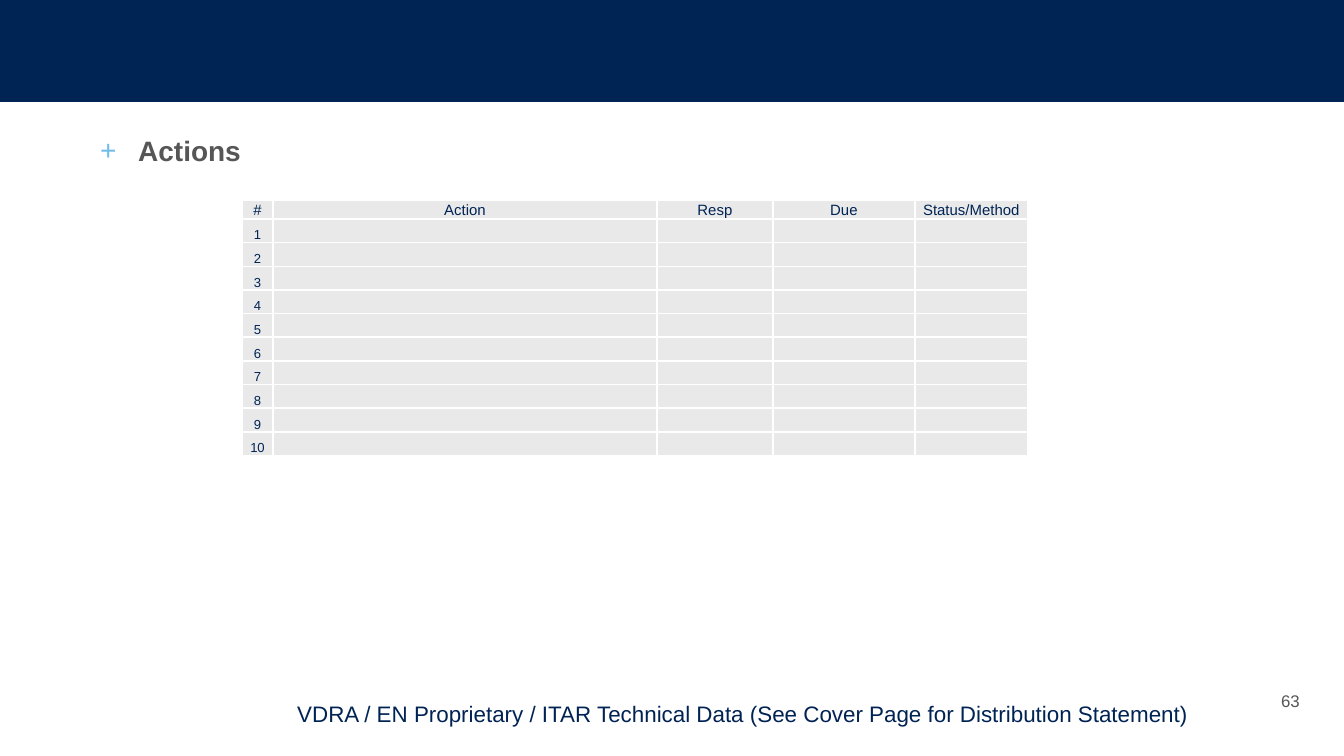
from lxml.etree import SubElement
from pptx import Presentation
from pptx.dml.color import RGBColor
from pptx.enum.shapes import MSO_SHAPE
from pptx.enum.text import MSO_ANCHOR, PP_ALIGN
from pptx.oxml.ns import qn
from pptx.util import Pt

EMU_PER_PX = 914400 / 134.4
NAVY, GREY, CELL_GREY = "002354", "565656", "E9E9E9"


def px(*lengths):
    return [round(length * EMU_PER_PX) for length in lengths]


def style(paragraph, size, color, bold=False):
    font = paragraph.font
    font.name, font.size, font.bold = "Arial", Pt(size), bold
    font.color.rgb = RGBColor.from_string(color)


prs = Presentation()
prs.slide_width, prs.slide_height = px(1344, 756)
slide = prs.slides.add_slide(prs.slide_layouts[6])
shapes = slide.shapes

# Header band
band = shapes.add_shape(MSO_SHAPE.RECTANGLE, *px(0, 0, 1344, 102))
band.shadow.inherit = False
band.fill.solid()
band.fill.fore_color.rgb = RGBColor.from_string("002454")
band.line.fill.background()

# Page number
page_number = shapes.add_textbox(*px(1265, 681, 51, 40)).text_frame
page_number.word_wrap = True
page_number.vertical_anchor = MSO_ANCHOR.MIDDLE
page_number.text = "63"
page_number.paragraphs[0].alignment = PP_ALIGN.CENTER
style(page_number.paragraphs[0], 9, GREY)

# Heading with a plus bullet
heading = shapes.add_textbox(*px(87, 124, 891, 608)).text_frame
heading.word_wrap = True
heading.text = "Actions"
actions = heading.paragraphs[0]
actions.line_spacing = 1.1
indent = px(38)[0]
properties = actions._p.get_or_add_pPr()
properties.set("marL", str(indent))
properties.set("indent", str(-indent))
bullet_color = SubElement(properties, qn("a:buClr"))
SubElement(bullet_color, qn("a:srgbClr"), val="70BCE8")
SubElement(properties, qn("a:buFont"), typeface="Arial")
SubElement(properties, qn("a:buChar"), char="+")
style(actions, 15, GREY, bold=True)

# Action table: a header row and ten numbered rows
headers = ["#", "Action", "Resp", "Due", "Status/Method"]
rows = [headers] + [[str(number), "", "", "", ""] for number in range(1, 11)]
column_widths = px(31, 384, 116, 142, 113)
header_height, body_height = px(19, 237)
table = shapes.add_table(len(rows), len(headers), *px(242, 200, 786, 256)).table
for column, width in zip(table.columns, column_widths):
    column.width = width
for r, row in enumerate(rows):
    table.rows[r].height = body_height // 10 if r else header_height
    size = 7 if r else 8
    for c, text in enumerate(row):
        cell = table.cell(r, c)
        cell.text = text
        cell.vertical_anchor = MSO_ANCHOR.BOTTOM
        cell.margin_left = cell.margin_right = cell.margin_top = px(1)[0]
        cell.margin_bottom = 0
        paragraph = cell.text_frame.paragraphs[0]
        paragraph.alignment = PP_ALIGN.CENTER
        style(paragraph, size, NAVY)
        if not text:  # keeps empty cells from growing the row
            SubElement(paragraph._p, qn("a:endParaRPr"), sz=str(size * 100))
        cell_properties = cell._tc.get_or_add_tcPr()
        for side in ("lnL", "lnR", "lnT", "lnB"):
            border = SubElement(cell_properties, qn(f"a:{side}"), w=str(Pt(1)))
            border_fill = SubElement(border, qn("a:solidFill"))
            SubElement(border_fill, qn("a:srgbClr"), val="FFFFFF")
        cell.fill.solid()
        cell.fill.fore_color.rgb = RGBColor.from_string(CELL_GREY)

# Distribution notice
notice = shapes.add_textbox(*px(284, 694, 982, 38)).text_frame
notice.word_wrap = True
notice.text = ("VDRA / EN Proprietary / ITAR Technical Data "
               "(See Cover Page for Distribution Statement)")
style(notice.paragraphs[0], 12, NAVY)

prs.save("out.pptx")
